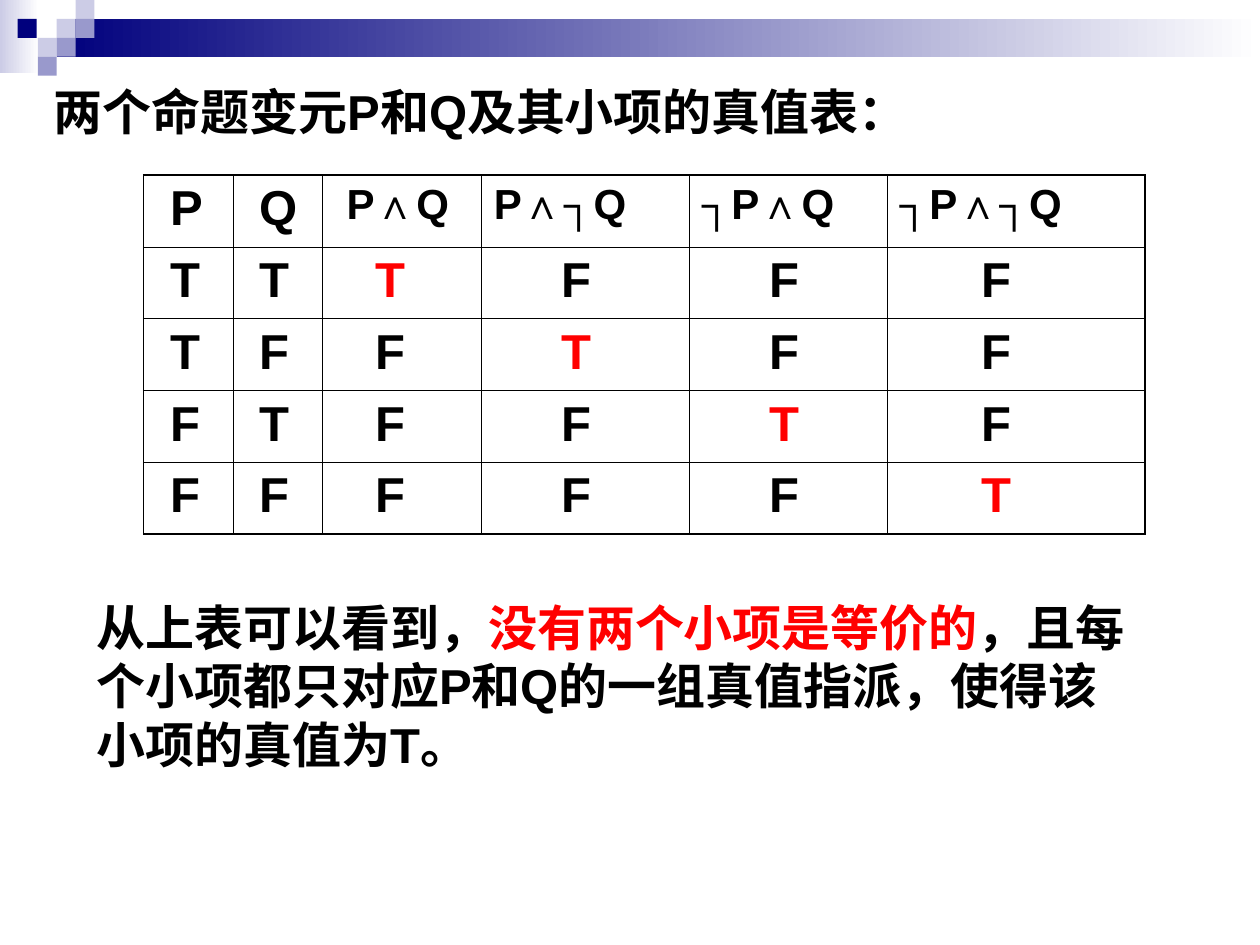
from lxml import etree
from pptx import Presentation
from pptx.dml.color import RGBColor
from pptx.enum.shapes import MSO_SHAPE
from pptx.oxml.ns import qn
from pptx.util import Inches, Pt

RECTANGLE = MSO_SHAPE.RECTANGLE
FONT = "Arial"
COLORS = {"navy": "00007D", "violet": "9999CC", "lavender": "CCCCE6",
          "white": "FFFFFF", "black": "000000", "red": "FF0000"}

# Content
TITLE = [("两个命题变元P和Q及其小项的真值表：", "black")]
CONCLUSION = [
    ("从上表可以看到，", "black"),
    ("没有两个小项是等价的", "red"),
    ("，且每个小项都只对应P和Q的一组真值指派，使得该小项的真值为T。", "black"),
]
HEADERS = ["P", "Q", "P∧Q", "P∧┐Q", "┐P∧Q", "┐P∧┐Q"]
TRUTH_ROWS = ["TTTFFF", "TFFTFF", "FTFFTF", "FFFFFT"]

# Layout in inches
GRADIENT_BARS = [(0, 0, 0.31, 0.58, "lavender"), (0.45, 0.15, 9.55, 0.3, "navy")]
SQUARE = 0.15
SQUARES = [(0.45, 0.15, "lavender"), (0.6, 0, "lavender"), (0.6, 0.15, "violet"),
           (0.3, 0.3, "lavender"), (0.14, 0.15, "navy"), (0.45, 0.3, "violet"),
           (0.3, 0.45, "violet")]
COLUMN_WIDTHS = [0.71, 0.71, 1.26, 1.65, 1.57, 2.05]
HEADER_INDENTS = [0.11, 0.11, 0.09, 0, 0, 0]
VALUE_INDENTS = [0.11, 0.11, 0.32, 0.54, 0.54, 0.65]
ROW_HEIGHT = 0.57
VARIABLE_COUNT = 2
THIN, THICK = 0.45, 1.08


def rgb(name):
    return RGBColor.from_string(COLORS[name])


def add_rectangle(slide, left, top, width, height):
    shape = slide.shapes.add_shape(
        RECTANGLE, Inches(left), Inches(top), Inches(width), Inches(height))
    shape.shadow.inherit = False
    shape.line.fill.background()
    return shape


def add_runs(paragraph, runs, size=28):
    for text, color in runs:
        run = paragraph.add_run()
        run.text = text
        run.font.name = FONT
        run.font.size = Pt(size)
        run.font.bold = True
        run.font.color.rgb = rgb(color)


def add_text(slide, left, top, width, height, runs):
    box = slide.shapes.add_textbox(
        Inches(left), Inches(top), Inches(width), Inches(height))
    box.text_frame.word_wrap = True
    add_runs(box.text_frame.paragraphs[0], runs)


def set_borders(cell, widths):
    properties = cell._tc.get_or_add_tcPr()
    for position, (side, width) in enumerate(widths.items()):
        line = etree.Element(qn(f"a:ln{side}"), w=str(Pt(width)))
        fill = etree.SubElement(line, qn("a:solidFill"))
        etree.SubElement(fill, qn("a:srgbClr"), val=COLORS["black"])
        properties.insert(position, line)


def add_truth_table(slide):
    rows = [HEADERS] + [list(values) for values in TRUTH_ROWS]
    last_row, last_column = len(rows) - 1, len(HEADERS) - 1
    table = slide.shapes.add_table(
        len(rows), len(HEADERS), Inches(1.14), Inches(1.39),
        Inches(sum(COLUMN_WIDTHS)), Inches(ROW_HEIGHT * len(rows))).table
    table.first_row = table.horz_banding = False
    for column, width in zip(table.columns, COLUMN_WIDTHS):
        column.width = Inches(width)
    for r, row in enumerate(rows):
        table.rows[r].height = Inches(ROW_HEIGHT)
        for c, text in enumerate(row):
            cell = table.cell(r, c)
            cell.fill.background()
            set_borders(cell, {
                "L": THICK if c == 0 else THIN,
                "R": THICK if c == last_column else THIN,
                "T": THICK if r == 0 else THIN,
                "B": THICK if r == last_row else THIN})
            is_minterm = c >= VARIABLE_COUNT
            indents = HEADER_INDENTS if r == 0 else VALUE_INDENTS
            paragraph = cell.text_frame.paragraphs[0]
            paragraph._p.get_or_add_pPr().set("marL", str(Inches(indents[c])))
            color = "red" if is_minterm and text == "T" else "black"
            add_runs(paragraph, [(text, color)], 24 if r == 0 and is_minterm else 28)


def main():
    presentation = Presentation()
    presentation.slide_width, presentation.slide_height = Inches(10), Inches(7.5)
    slide = presentation.slides.add_slide(presentation.slide_layouts[6])

    # Header decoration
    for left, top, width, height, color in GRADIENT_BARS:
        fill = add_rectangle(slide, left, top, width, height).fill
        fill.gradient()
        fill.gradient_angle = 0
        for stop, name in zip(fill.gradient_stops, (color, "white")):
            stop.color.rgb = rgb(name)
    for left, top, color in SQUARES:
        fill = add_rectangle(slide, left, top, SQUARE, SQUARE).fill
        fill.solid()
        fill.fore_color.rgb = rgb(color)

    # Title, truth table and conclusion
    add_text(slide, 0.33, 0.6, 9.39, 0.71, TITLE)
    add_truth_table(slide)
    add_text(slide, 0.67, 4.69, 8.43, 1.5, CONCLUSION)

    presentation.save("out.pptx")


if __name__ == "__main__":
    main()
